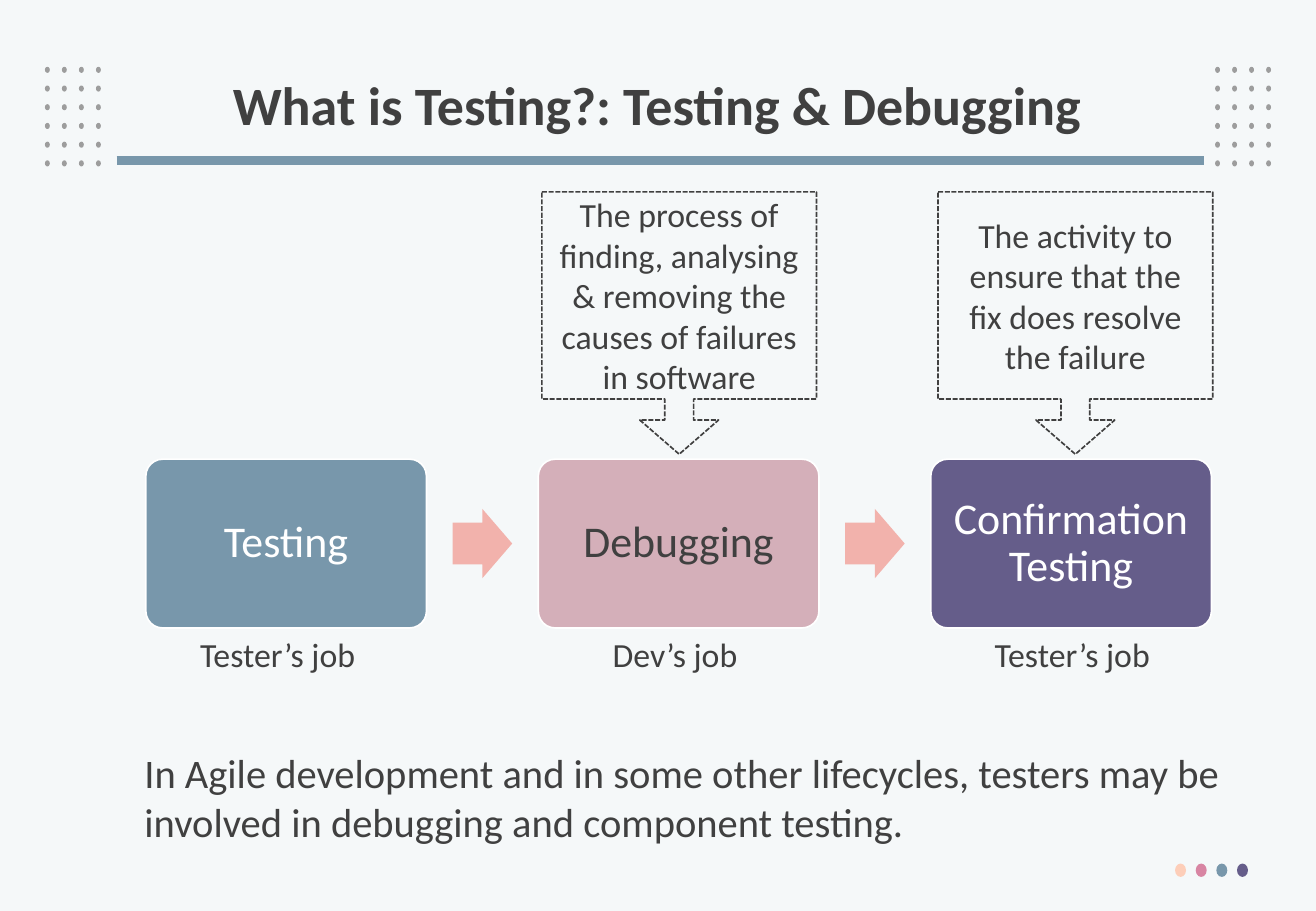
from dataclasses import dataclass

from lxml import etree
from pptx import Presentation
from pptx import util as u
from pptx.dml.color import RGBColor
from pptx.enum import dml, shapes, text
from pptx.oxml.ns import qn

# Content
TITLE = "What is Testing?: Testing & Debugging"
STEPS = [
    {"name": "Testing", "fill": "7897AB", "ink": "FFFFFF", "job": "Tester’s job"},
    {"name": "Debugging", "fill": "D4AFB9", "ink": "404040", "job": "Dev’s job",
     "meaning": "The process of finding, analysing & removing the causes of failures in software"},
    {"name": "Confirmation Testing", "fill": "655D8A", "ink": "FFFFFF", "job": "Tester’s job",
     "meaning": "The activity to ensure that the fix does resolve the failure"},
]
NOTE = ("In Agile development and in some other lifecycles, testers may be "
        "involved in debugging and component testing.")


@dataclass(frozen=True)
class Theme:
    font: str = "Calibri"
    ink: str = "404040"
    paper: str = "F5F8F9"
    rule: str = "7897AB"
    dot: str = "9D9D9D"
    arrow: str = "F2B2AC"
    edge: str = "FFFFFF"
    accents: tuple = ("FDCEB9", "D885A3", "7897AB", "655D8A")
    title_size: int = 32
    step_size: int = 26
    note_size: int = 24
    label_size: int = 20


THEME = Theme()
SHAPE = shapes.MSO_SHAPE

# Grid, in inches
WIDTH, HEIGHT = 10.83, 7.5
STEP_LEFT, STEP_TOP, STEP_PITCH = 1.2, 3.78, 3.23
STEP_W, STEP_H, STEP_INSET = 2.31, 1.39, 0.05
ARROW_W, ARROW_H = 0.49, 0.57
MEANING_LEFT, MEANING_TOP, MEANING_PITCH = 1.2, 1.58, 3.26
MEANING_W, MEANING_H = 2.26, 2.16
JOB_LEFT, JOB_PITCH, JOB_W = 1.52, 3.27, 1.53
DOT_COLS, DOT_ROWS, DOT_DX, DOT_DY = 4, 6, 0.14, 0.154

prs = Presentation()
prs.slide_width, prs.slide_height = u.Inches(WIDTH), u.Inches(HEIGHT)
slide = prs.slides.add_slide(prs.slide_layouts[5])
slide.background.fill.solid()
slide.background.fill.fore_color.rgb = RGBColor.from_string(THEME.paper)


def inches(*lengths):
    return [u.Inches(length) for length in lengths]


def draw(preset, box, fill=None, edge=None, adjust=()):
    part = slide.shapes.add_shape(preset, *inches(*box))
    part.shadow.inherit = False
    if fill:
        part.fill.solid()
        part.fill.fore_color.rgb = RGBColor.from_string(fill)
    else:
        part.fill.background()
    if edge:
        part.line.color.rgb = RGBColor.from_string(edge)
        part.line.width = u.Pt(1)
    else:
        part.line.fill.background()
    for index, value in enumerate(adjust):
        part.adjustments[index] = value
    return part


def write(part, words, size, ink=THEME.ink, bold=False, align=text.PP_ALIGN.CENTER,
          anchor=text.MSO_ANCHOR.MIDDLE, spacing=1.0, wrap=True):
    frame = part.text_frame
    frame.word_wrap = wrap
    frame.vertical_anchor = anchor
    paragraph = frame.paragraphs[0]
    paragraph.alignment = align
    paragraph.line_spacing = spacing
    run = paragraph.add_run()
    run.text = words
    run.font.name, run.font.size, run.font.bold = THEME.font, u.Pt(size), bold
    run.font.color.rgb = RGBColor.from_string(ink)
    return frame


# Dot grids beside the title
for grid_left in (0.37, 10):
    for row in range(DOT_ROWS):
        for col in range(DOT_COLS):
            draw(SHAPE.OVAL, (grid_left + col * DOT_DX, 0.55 + row * DOT_DY, 0.04, 0.05), THEME.dot)

# Title and its rule
rule = slide.shapes.add_connector(shapes.MSO_CONNECTOR.STRAIGHT, *inches(0.96, 1.32, 9.91, 1.32))
rule.line.color.rgb = RGBColor.from_string(THEME.rule)
rule.line.width = u.Pt(5.25)
etree.SubElement(rule._element.spPr, qn("a:effectLst"))

title = slide.shapes.title
title.left, title.top, title.width, title.height = inches(0.74, 0.4, 9.34, 0.98)
write(title, TITLE, THEME.title_size, bold=True, spacing=0.9)

# Accent dots at the foot
for index, accent in enumerate(THEME.accents):
    draw(SHAPE.OVAL, (9.67 + index * 0.17, 7.11, 0.09, 0.11), accent)

# Steps with arrows, meanings and jobs
for index, step in enumerate(STEPS):
    left = STEP_LEFT + index * STEP_PITCH
    card = draw(SHAPE.ROUNDED_RECTANGLE, (left, STEP_TOP, STEP_W, STEP_H),
                step["fill"], THEME.edge, (0.1,))
    card_frame = write(card, step["name"], THEME.step_size, step["ink"], spacing=0.9)
    card_frame.margin_left = card_frame.margin_right = u.Inches(STEP_INSET)

    if index < len(STEPS) - 1:
        arrow_left = left + (STEP_W + STEP_PITCH - ARROW_W) / 2
        arrow_top = STEP_TOP + (STEP_H - ARROW_H) / 2
        draw(SHAPE.RIGHT_ARROW, (arrow_left, arrow_top, ARROW_W, ARROW_H),
             THEME.arrow, adjust=(0.6, 0.5))

    if "meaning" in step:
        callout = draw(SHAPE.DOWN_ARROW_CALLOUT,
                       (MEANING_LEFT + index * MEANING_PITCH, MEANING_TOP, MEANING_W, MEANING_H),
                       edge=THEME.ink, adjust=(0.11, 0.15, 0.13, 0.79))
        callout.line.dash_style = dml.MSO_LINE.SQUARE_DOT
        write(callout, step["meaning"], THEME.label_size)

    job = slide.shapes.add_textbox(
        *inches(JOB_LEFT + index * JOB_PITCH, STEP_TOP + STEP_H, JOB_W, 0.44))
    write(job, step["job"], THEME.label_size, anchor=text.MSO_ANCHOR.TOP, wrap=False)

# Closing note
note = slide.shapes.add_textbox(*inches(1.09, 6.11, 9.16, 0.91))
write(note, NOTE, THEME.note_size, align=text.PP_ALIGN.LEFT, anchor=text.MSO_ANCHOR.TOP)

prs.save("out.pptx")
